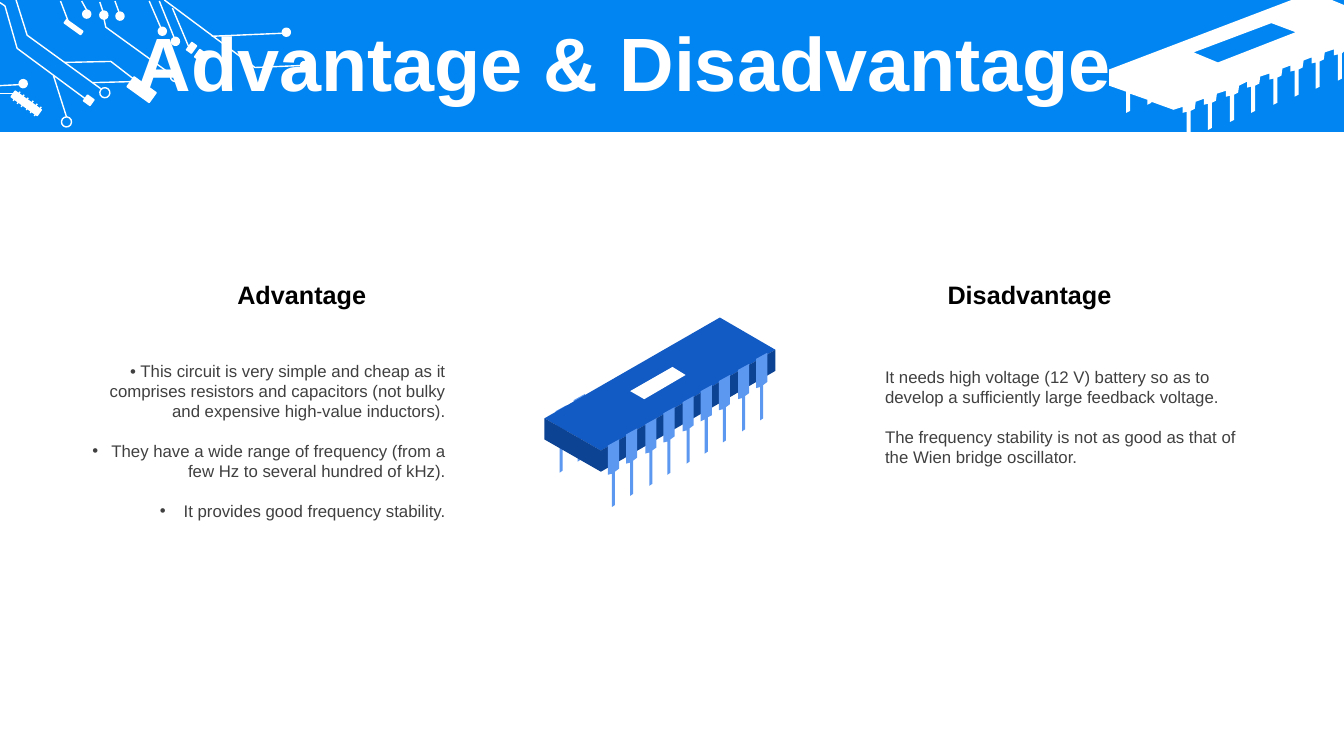
from dataclasses import dataclass
from typing import Optional

from lxml.etree import SubElement
from pptx import Presentation
from pptx.dml.color import RGBColor
from pptx.enum.shapes import MSO_CONNECTOR as CONN, MSO_SHAPE as SHAPE
from pptx.enum.text import MSO_ANCHOR as ANCHOR, PP_ALIGN as ALIGN
from pptx.oxml.ns import qn
from pptx.util import Emu, Pt

PX = 9144  # one px is a hundredth of an inch
TILT = 35.7
WHITE, BLUE, GREY, BLACK = "FFFFFF", "0085F2", "404040", "000000"
CHIP_TOP, CHIP_SIDE, CHIP_PIN = "125AC4", "0D4393", "5C98F0"
Points = list[tuple[int, int]]


@dataclass
class Part:
    kind: SHAPE
    x: int
    y: int
    w: int
    h: int
    fill: Optional[str] = WHITE
    line: Optional[str] = WHITE
    rotation: float = TILT


@dataclass
class Para:
    text: str
    bullet: bool = False


@dataclass
class TextBox:
    x: int
    y: int
    w: int
    h: int
    paras: list[Para]
    size: int
    color: str
    bold: bool = False
    align: ALIGN = ALIGN.LEFT
    anchor: ANCHOR = ANCHOR.TOP
    spacing: float = 1.0


def px(n: float) -> Emu:
    return Emu(round(n * PX))


def rgb(color: str) -> RGBColor:
    return RGBColor.from_string(color)


def paint(sp, fill: Optional[str], line: Optional[str]) -> None:
    sp.shadow.inherit = False
    if fill:
        sp.fill.solid()
        sp.fill.fore_color.rgb = rgb(fill)
    else:
        sp.fill.background()
    if line:
        sp.line.color.rgb = rgb(line)
        sp.line.width = Pt(1)
    else:
        sp.line.fill.background()


def draw_part(s, part: Part) -> None:
    sp = s.shapes.add_shape(part.kind, px(part.x), px(part.y), px(part.w), px(part.h))
    sp.rotation = part.rotation
    paint(sp, part.fill, part.line)


def draw_outline(s, contours: list[Points], fill: Optional[str] = None,
                 line: Optional[str] = None) -> None:
    fb = s.shapes.build_freeform(*contours[0][0], scale=PX)
    for i, pts in enumerate(contours):
        if i:
            fb.move_to(*pts[0])
        fb.add_line_segments(pts[1:], close=fill is not None)
    paint(fb.convert_to_shape(), fill, line)


def draw_line(s, x1: int, y1: int, x2: int, y2: int) -> None:
    cn = s.shapes.add_connector(CONN.STRAIGHT, px(x1), px(y1), px(x2), px(y2))
    cn.line.color.rgb = rgb(WHITE)
    cn.line.width = Pt(1)
    SubElement(cn._element.spPr, qn("a:effectLst"))


def draw_text(s, box: TextBox) -> None:
    tf = s.shapes.add_textbox(px(box.x), px(box.y), px(box.w), px(box.h)).text_frame
    tf.word_wrap = True
    tf.vertical_anchor = box.anchor
    font = {"name": "Arial", "size": Pt(box.size), "bold": box.bold}
    for i, para in enumerate(box.paras):
        p = tf.add_paragraph() if i else tf.paragraphs[0]
        layout = {"alignment": box.align, "line_spacing": box.spacing,
                  "space_before": Pt(14 if i else 0)}
        for name, value in layout.items():
            setattr(p, name, value)
        if para.bullet:
            pPr = p._p.get_or_add_pPr()
            pPr.set("marL", str(px(19)))
            pPr.set("indent", str(px(-19)))
            SubElement(pPr, qn("a:buFont"), typeface="Arial")
            SubElement(pPr, qn("a:buChar"), char="•")
        r = p.add_run()
        r.text = para.text
        for name, value in font.items():
            setattr(r.font, name, value)
        r.font.color.rgb = rgb(box.color)


def shifted(pts: Points, dx: float, dy: float) -> Points:
    return [(round(x + dx), round(y + dy)) for x, y in pts]


# Header chip: the lower edge is one pin repeated, cut off by the slide edge
EDGE_PIN = [(1173, 106), (1173, 112), (1177, 111), (1177, 137), (1181, 135),
            (1181, 110), (1185, 108), (1186, 101)]
HEADER_EDGE = [pt for i in range(8) for pt in shifted(EDGE_PIN, 21.4 * i, -8.2 * i)][:-2]
HEADER_CHIP = [(1281, 0), (1100, 69), (1100, 85), (1117, 91), (1117, 112), (1121, 110),
               (1121, 93), (1138, 99), (1138, 104), (1142, 102), (1142, 101), (1164, 109),
               *HEADER_EDGE, (1333, 51), (1333, 5), (1321, 0)]
HEADER_WINDOW = [(1261, 23), (1184, 52), (1208, 62), (1285, 32)]

# Circuit traces
PADS = [(298, 61), (280, 28), (82, 10), (99, 11), (115, 12), (19, 79), (170, 37), (157, 27)]
RINGS = [(169, 71), (99, 87), (61, 116)]
BLOCKS = [(127, 83, 27, 12), (63, 25, 20, 4), (84, 96, 8, 7), (187, 43, 6, 9),
          (195, 50, 6, 9), (10, 99, 32, 7)]
WIRES = [(60, 1, 68, 22), (81, 1, 86, 10), (99, 2, 102, 11), (114, 1, 118, 12),
         (148, 1, 161, 31), (158, 1, 173, 38), (210, 36, 280, 33), (171, 8, 187, 46),
         (-1, 85, 19, 84), (-1, 93, 14, 93), (53, 75, 66, 116), (92, 82, 130, 81)]
COIL_TICKS = [(round(13 + 4.2 * i), 100 + 3 * i, round(20 + 4.2 * i), 91 + 3 * i)
              for i in range(6)]
BENT_WIRES = [
    [(163, 0), (253, 67), (299, 65)],
    [(16, 0), (27, 35), (100, 88)],
    [(-1, 2), (5, 6), (17, 48), (86, 99)],
    [(64, 62), (110, 61), (132, 78)],
    [(103, 18), (105, 27), (170, 74)],
]

# Centre chip
PIN = [(603, 442), (603, 471), (607, 470), (607, 503), (610, 501), (610, 468),
       (614, 465), (614, 436)]
BACK_PINS = [shifted(PIN, -52 + 18.4 * i, -34 - 10.7 * i) for i in range(2)]
FRONT_PINS = [shifted(PIN, 18.4 * i, -10.7 * i) for i in range(9)]
CHIP_BODY = [
    ([(714, 315), (540, 415), (596, 447), (769, 347)], CHIP_TOP),
    ([(540, 415), (540, 436), (596, 468), (596, 447)], CHIP_SIDE),
    ([(769, 347), (769, 368), (596, 468), (596, 447)], CHIP_SIDE),
]
CHIP_LABEL = [(667, 364), (625, 388), (639, 396), (680, 372)]

TEXTS = [
    TextBox(868, 359, 373, 131, [
        Para("It needs high voltage (12 V) battery so as to develop a sufficiently "
             "large feedback voltage."),
        Para("The frequency stability is not as good as that of the Wien bridge oscillator."),
    ], 12, GREY),
    TextBox(930, 272, 373, 40, [Para("Disadvantage")], 18, BLACK, True),
    TextBox(79, 353, 373, 192, [
        Para("• This circuit is very simple and cheap as it comprises resistors and "
             "capacitors (not bulky and expensive high-value inductors)."),
        Para("They have a wide range of frequency (from a few Hz to several hundred "
             "of kHz).", True),
        Para(" It provides good frequency stability.", True),
    ], 12, GREY, align=ALIGN.RIGHT),
    TextBox(0, 272, 373, 40, [Para("Advantage")], 18, BLACK, True, ALIGN.RIGHT),
    TextBox(-14, 27, 1266, 79, [Para("Advantage & Disadvantage")], 54, WHITE, True,
            ALIGN.CENTER, ANCHOR.MIDDLE, 0.9),
]


def main() -> None:
    prs = Presentation()
    prs.slide_width, prs.slide_height = px(1333), px(750)
    s = prs.slides.add_slide(prs.slide_layouts[6])

    # Header band with chip
    draw_part(s, Part(SHAPE.RECTANGLE, 0, 0, 1333, 131, BLUE, None, 0))
    draw_outline(s, [HEADER_CHIP, HEADER_WINDOW], WHITE)

    # Circuit decoration
    for block in BLOCKS:
        draw_part(s, Part(SHAPE.RECTANGLE, *block))
    for x, y in PADS:
        draw_part(s, Part(SHAPE.OVAL, x, y, 8, 8))
    for x, y in RINGS:
        draw_part(s, Part(SHAPE.OVAL, x, y, 10, 10, None))
    for wire in WIRES + COIL_TICKS:
        draw_line(s, *wire)
    for pts in BENT_WIRES:
        draw_outline(s, [pts], line=WHITE)

    # Title and the two columns
    for box in TEXTS:
        draw_text(s, box)

    # Centre chip, back to front
    pins_back, pins_front = ([(pin, CHIP_PIN) for pin in row] for row in (BACK_PINS, FRONT_PINS))
    for pts, color in [*pins_back, *CHIP_BODY, *pins_front, (CHIP_LABEL, WHITE)]:
        draw_outline(s, [pts], color)

    prs.save("out.pptx")


if __name__ == "__main__":
    main()
